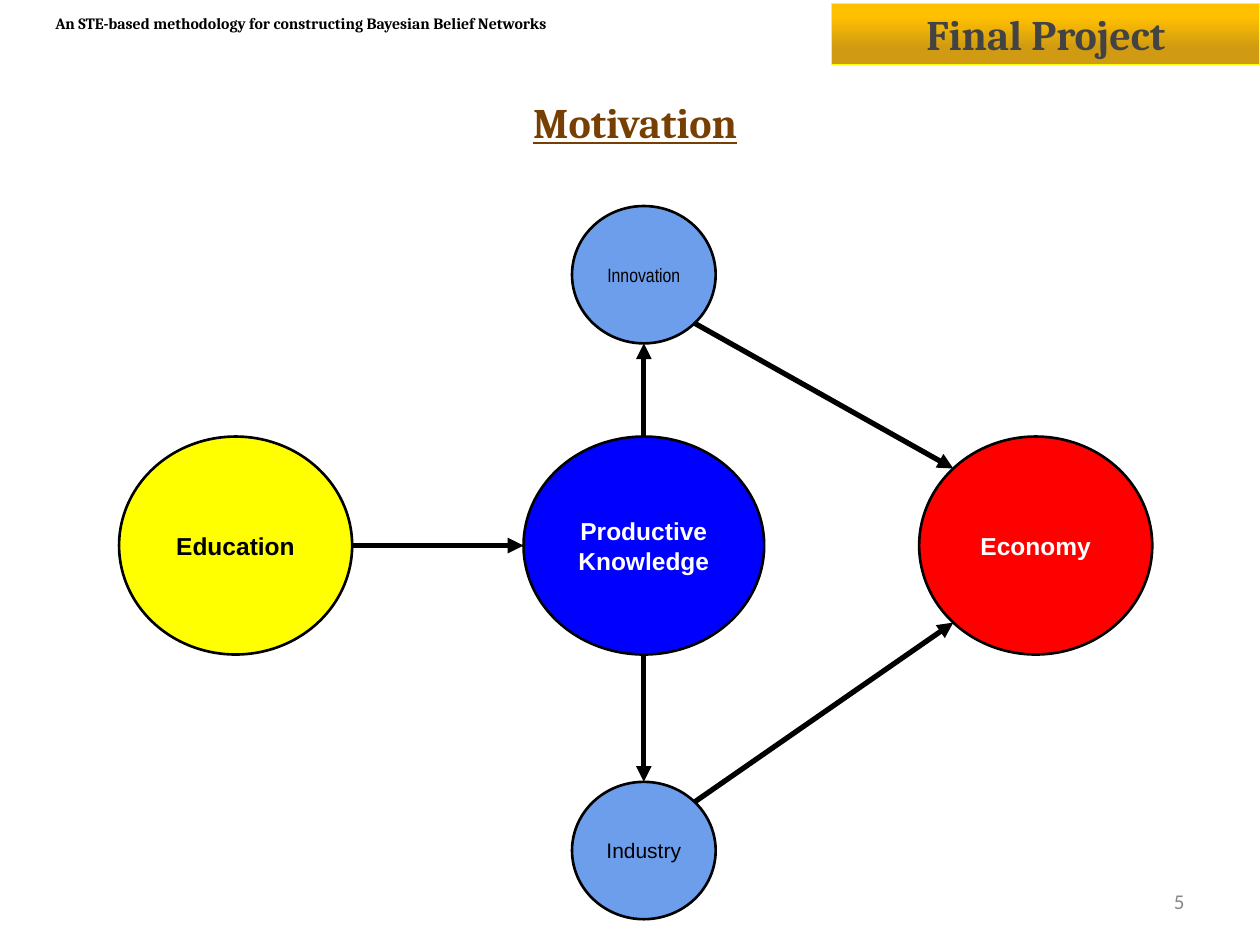
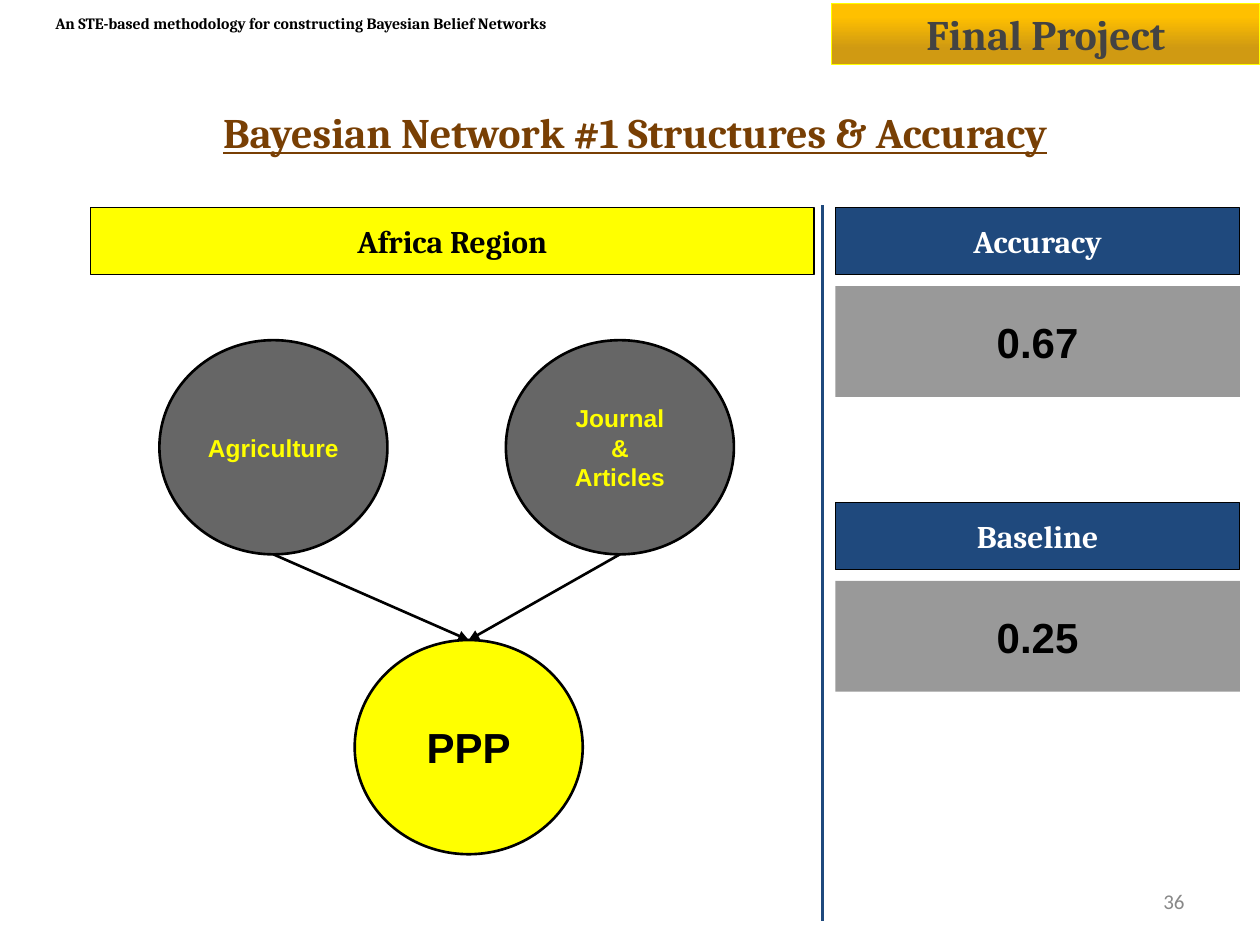
"""Build two slides: the motivation diagram and the accuracy of Bayesian network #1."""
import math

import pptx
import pptx.dml.color
import pptx.enum.shapes
import pptx.enum.text
import pptx.oxml.ns
import pptx.util
from lxml import etree

SHAPE = pptx.enum.shapes.MSO_SHAPE
ALIGN = pptx.enum.text.PP_ALIGN
SLIDE_SIZE = (10, 7.5)
BLACK, WHITE, YELLOW = "000000", "FFFFFF", "FFFF00"
NAVY, GREY, DARK_GREY = "1F497D", "999999", "666666"
BROWN, CHARCOAL, SKY = "783F04", "434343", "6D9EEB"
GOLD_STOPS = [(0.27, "D09A12"), (0.79, "FFC000")]
PROJECT = "Final Project"
THESIS = "An STE-based methodology for constructing Bayesian Belief Networks"
DIRECTIONS = {"right": 0, "lower right": 45, "bottom": 90, "left": 180,
              "upper left": 225, "top": 270, "upper right": 315, "lower left": 135}

LARGE, MIDDLE, SMALL, NETWORK = (1.85, 1.73), (1.91, 1.73), (1.14, 1.09), (1.81, 1.7)
BOLD_14 = dict(size=14, bold=True)
MOTIVATION = {
    "title": ("Motivation", 0.7),
    "number": "5",
    "columns": [1.87, 5.11, 8.22],
    "rows": [2.18, 4.33, 6.75],
    "nodes": {
        "Economy": (2, 1, LARGE, "FF0000", dict(BOLD_14, color=WHITE)),
        "Productive Knowledge": (1, 1, MIDDLE, "0000FF", dict(BOLD_14, color=WHITE)),
        "Education": (0, 1, LARGE, YELLOW, BOLD_14),
        "Innovation": (1, 0, SMALL, SKY, dict(size=11, face="Arial Narrow")),
        "Industry": (1, 2, SMALL, SKY, dict(size=12)),
    },
    "links": [
        ("Education", "right", "Productive Knowledge", "left"),
        ("Productive Knowledge", "bottom", "Industry", "top"),
        ("Innovation", "lower right", "Economy", "upper left"),
        ("Industry", "upper right", "Economy", "lower left"),
        ("Productive Knowledge", "top", "Innovation", "bottom"),
    ],
    "link_width": 3,
}
ACCURACY = {
    "title": ("Bayesian Network #1 Structures & Accuracy", 0.78),
    "number": "36",
    "columns": [2.17, 3.72, 4.92],
    "rows": [3.55, 5.93],
    "nodes": {
        "Agriculture": (0, 0, NETWORK, DARK_GREY, dict(BOLD_14, color=YELLOW)),
        "Journal\n&\nArticles": (2, 0, NETWORK, DARK_GREY, dict(BOLD_14, color=YELLOW)),
        "PPP": (1, 1, NETWORK, YELLOW, dict(size=24, bold=True)),
    },
    "links": [
        ("Agriculture", "bottom", "PPP", "top"),
        ("Journal\n&\nArticles", "bottom", "PPP", "top"),
    ],
    "link_width": 1.5,
}
REGION = "Africa Region"
SCORES = [("Accuracy", "0.67"), ("Baseline", "0.25")]
HEADING_TOP, HEADING_HEIGHT, SCORE_PITCH = 1.65, 0.53, 2.34
SCORE_LEFT, SCORE_WIDTH, SCORE_DROP, SCORE_HEIGHT = 6.63, 3.21, 0.62, 0.88


def rgb(code):
    return pptx.dml.color.RGBColor.from_string(code)


def inches(lengths):
    return [pptx.util.Inches(length) for length in lengths]


def write(holder, text, size, color=BLACK, face="Arial", bold=False,
          underline=False, align=ALIGN.CENTER, inset=0.1):
    frame = holder.text_frame
    frame.text = text
    frame.word_wrap = True
    frame.auto_size = pptx.enum.text.MSO_AUTO_SIZE.NONE
    frame.vertical_anchor = pptx.enum.text.MSO_ANCHOR.MIDDLE
    frame.margin_left = frame.margin_right = pptx.util.Inches(0.1)
    frame.margin_top = frame.margin_bottom = pptx.util.Inches(inset)
    for paragraph in frame.paragraphs:
        paragraph.alignment = align
        font = paragraph.font
        font.size, font.name = pptx.util.Pt(size), face
        font.bold, font.underline = bold, underline
        font.color.rgb = rgb(color)


def add_block(slide, outline, box, fill, border=None, border_width=0.75):
    block = slide.shapes.add_shape(outline, *inches(box))
    block.shadow.inherit = False
    if fill:
        block.fill.solid()
        block.fill.fore_color.rgb = rgb(fill)
    if border:
        block.line.color.rgb = rgb(border)
        block.line.width = pptx.util.Pt(border_width)
    else:
        block.line.fill.background()
    return block


def add_line(slide, start, end, color, width, arrow=False):
    line = slide.shapes.add_connector(
        pptx.enum.shapes.MSO_CONNECTOR.STRAIGHT, *inches(start + end))
    line.line.color.rgb = rgb(color)
    line.line.width = pptx.util.Pt(width)
    qn = pptx.oxml.ns.qn
    properties = line._element.spPr
    if arrow:
        etree.SubElement(properties.find(qn("a:ln")), qn("a:tailEnd"), type="triangle")
    etree.SubElement(properties, qn("a:effectLst"))


def add_banner(slide):
    banner = add_block(slide, SHAPE.ROUNDED_RECTANGLE, (6.6, 0.03, 3.4, 0.48), None, YELLOW)
    banner.adjustments[0] = 0
    banner.fill.gradient()
    banner.fill.gradient_angle = 90
    for stop, (position, color) in zip(banner.fill.gradient_stops, GOLD_STOPS):
        stop.position = position
        stop.color.rgb = rgb(color)
    write(banner, PROJECT, 24, CHARCOAL, "Cambria", bold=True, inset=0.05)


def add_label(slide, box, text, size, **style):
    write(slide.shapes.add_textbox(*inches(box)), text, size, align=style.pop("align"), **style)


def rim_point(center, size, side):
    angle = math.radians(DIRECTIONS[side])
    return (center[0] + size[0] / 2 * math.cos(angle),
            center[1] + size[1] / 2 * math.sin(angle))


def add_network(slide, content):
    places = {}
    for name, (column, row, size, fill, style) in content["nodes"].items():
        center = content["columns"][column], content["rows"][row]
        places[name] = center, size
        box = (center[0] - size[0] / 2, center[1] - size[1] / 2, *size)
        write(add_block(slide, SHAPE.OVAL, box, fill, BLACK, 1.5), name, **style)
    for source, source_side, target, target_side in content["links"]:
        add_line(slide, rim_point(*places[source], source_side),
                 rim_point(*places[target], target_side),
                 BLACK, content["link_width"], arrow=True)


def add_heading(slide, left, top, width, text, fill, color):
    heading = add_block(slide, SHAPE.RECTANGLE, (left, top, width, HEADING_HEIGHT), fill, BLACK)
    write(heading, text, 18, color, "Cambria", bold=True)


def add_scores(slide):
    add_line(slide, (6.53, 1.63), (6.53, 7.31), NAVY, 1.5)
    add_heading(slide, 0.72, HEADING_TOP, 5.74, REGION, YELLOW, BLACK)
    for index, (measure, score) in enumerate(SCORES):
        top = HEADING_TOP + index * SCORE_PITCH
        add_heading(slide, SCORE_LEFT, top, SCORE_WIDTH, measure, NAVY, WHITE)
        box = (SCORE_LEFT, top + SCORE_DROP, SCORE_WIDTH, SCORE_HEIGHT)
        write(add_block(slide, SHAPE.RECTANGLE, box, GREY), score, 24, bold=True)


def add_slide(deck, content):
    slide = deck.slides.add_slide(deck.slide_layouts[5])
    text, top = content["title"]
    title = slide.shapes.title
    title.left, title.top, title.width, title.height = inches((0.09, top, 9.9, 0.53))
    write(title, text, 24, BROWN, "Cambria", bold=True, underline=True)
    add_label(slide, (0.34, 0.07, 6.12, 0.22), THESIS, 9,
              face="Cambria", bold=True, align=ALIGN.LEFT)
    add_label(slide, (7.17, 6.95, 2.33, 0.4), content["number"], 12,
              color="888888", face="Calibri", align=ALIGN.RIGHT, inset=0.05)
    add_network(slide, content)
    add_banner(slide)
    return slide


def main():
    deck = pptx.Presentation()
    deck.slide_width, deck.slide_height = inches(SLIDE_SIZE)
    add_slide(deck, MOTIVATION)
    add_scores(add_slide(deck, ACCURACY))
    deck.save("out.pptx")


if __name__ == "__main__":
    main()
